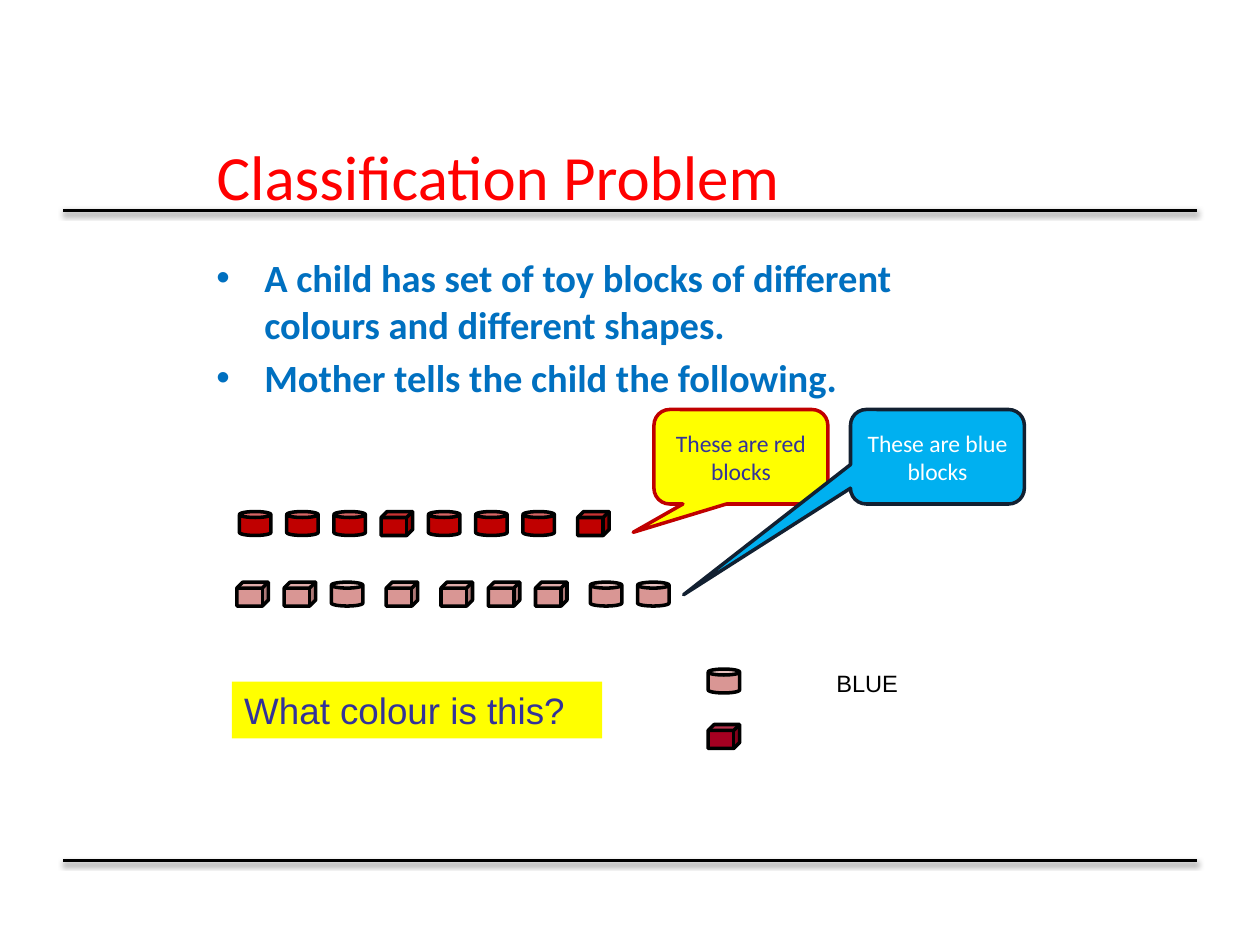
from dataclasses import dataclass

from lxml import etree
from pptx import Presentation
from pptx import util as u
from pptx.dml.color import RGBColor
from pptx.enum import shapes, text
from pptx.oxml import parse_xml
from pptx.oxml.ns import nsdecls, qn
from pptx.slide import Slide

CAN = shapes.MSO_SHAPE.CAN
CUBE = shapes.MSO_SHAPE.CUBE
BLOCK_KINDS = {"o": CAN, "#": CUBE}
RED, PINK = "C00000", "D99694"
YELLOW, INDIGO = "FFFF00", "333399"

RULE_SHADOW = f"""<a:effectLst {nsdecls('a')}>
  <a:outerShdw blurRad="40000" dist="20000" dir="5400000" rotWithShape="0">
    <a:srgbClr val="000000"><a:alpha val="38000"/></a:srgbClr>
  </a:outerShdw>
</a:effectLst>"""


def colour(value):
    return RGBColor.from_string(value)


@dataclass
class Painter:
    slide: Slide
    heading_font: str = "Calibri"
    label_font: str = "Arial"
    line_width: float = 2
    block_width: float = 0.25
    block_height: float = 0.19
    group_gap: float = 0.06

    def format_paragraph(self, paragraph, size, hex_colour, font, bold=False):
        for run in paragraph.runs:
            run.font.size = u.Pt(size)
            run.font.name = font
            run.font.bold = bold
            run.font.color.rgb = colour(hex_colour)

    def rule(self, top):
        connector = self.slide.shapes.add_connector(
            shapes.MSO_CONNECTOR.STRAIGHT,
            u.Inches(0.5), u.Inches(top), u.Inches(9.5), u.Inches(top))
        connector.line.color.rgb = colour("000000")
        connector.line.width = u.Pt(self.line_width)
        connector._element.spPr.append(parse_xml(RULE_SHADOW))

    def text_box(self, box, content, size, hex_colour, font, wrap=True):
        shape = self.slide.shapes.add_textbox(*map(u.Inches, box))
        frame = shape.text_frame
        frame.word_wrap = wrap
        frame.text = content
        for paragraph in frame.paragraphs:
            self.format_paragraph(paragraph, size, hex_colour, font)
        return frame

    def bullets(self, box, items, size, hex_colour):
        frame = self.text_box(box, "\n".join(items), size, hex_colour, self.heading_font)
        for index, paragraph in enumerate(frame.paragraphs):
            properties = paragraph._p.get_or_add_pPr()
            properties.set("marL", str(u.Inches(0.38)))
            properties.set("indent", str(u.Inches(-0.38)))
            font = etree.SubElement(properties, qn("a:buFont"))
            font.set("typeface", self.label_font)
            etree.SubElement(properties, qn("a:buChar")).set("char", "•")
            if index:
                paragraph.space_before = u.Pt(size * 0.2)
            self.format_paragraph(paragraph, size, hex_colour, self.heading_font, True)

    def shape(self, parent, kind, box, fill, outline=None):
        shape = parent.shapes.add_shape(kind, *map(u.Inches, box))
        shape.shadow.inherit = False
        shape.fill.solid()
        shape.fill.fore_color.rgb = colour(fill)
        if outline:
            shape.line.color.rgb = colour(outline)
            shape.line.width = u.Pt(self.line_width)
        else:
            shape.line.fill.background()
        return shape

    def block(self, parent, kind, left, top, fill):
        box = (left, top, self.block_width, self.block_height)
        self.shape(parent, kind, box, fill, "000000")

    def block_row(self, left, top, pattern, fill):
        group = self.slide.shapes.add_group_shape()
        for mark in pattern:
            if mark == " ":
                left += self.group_gap
            else:
                self.block(group, BLOCK_KINDS[mark], left, top, fill)
                left += self.block_width * 1.5

    def callout(self, left, content, fill, outline, text_colour, tip):
        shape = self.shape(self.slide, shapes.MSO_SHAPE.ROUNDED_RECTANGULAR_CALLOUT,
                           (left, 3.25, 1.38, 0.75), fill, outline)
        shape.adjustments[0], shape.adjustments[1] = tip
        frame = shape.text_frame
        frame.word_wrap = True
        frame.vertical_anchor = text.MSO_ANCHOR.MIDDLE
        frame.text = content
        paragraph = frame.paragraphs[0]
        paragraph.alignment = text.PP_ALIGN.CENTER
        self.format_paragraph(paragraph, 13.5, text_colour, self.heading_font)

    def question(self, box, content):
        shape = self.shape(self.slide, shapes.MSO_SHAPE.RECTANGLE, box, YELLOW)
        frame = shape.text_frame
        frame.word_wrap = True
        frame.vertical_anchor = text.MSO_ANCHOR.TOP
        frame.text = content
        paragraph = frame.paragraphs[0]
        paragraph.alignment = text.PP_ALIGN.LEFT
        self.format_paragraph(paragraph, 21, INDIGO, self.label_font)


def main():
    presentation = Presentation()
    presentation.slide_width = u.Inches(10)
    presentation.slide_height = u.Inches(7.5)
    slide = presentation.slides.add_slide(presentation.slide_layouts[6])
    painter = Painter(slide)

    for top in (1.67, 6.83):
        painter.rule(top)

    title = painter.text_box((1.62, 1.16, 6.12, 0.46), "Classification Problem",
                             36, "FF0000", painter.heading_font)
    title.vertical_anchor = text.MSO_ANCHOR.MIDDLE
    painter.bullets((1.62, 1.97, 6.44, 1.19), [
        "A child has set of toy blocks of different colours and different shapes.",
        "Mother tells the child the following.",
    ], 22, "0070C0")

    painter.block_row(1.9, 4.06, "ooo#ooo #", RED)
    painter.callout(5.19, "These are red blocks", YELLOW, RED, INDIGO, (-0.62, 0.8))
    painter.block_row(1.88, 4.62, "##o # ### oo", PINK)
    painter.callout(6.75, "These are blue blocks", "00B0F0", "122031", "FFFFFF",
                    (-1.46, 1.46))

    painter.question((1.84, 5.41, 2.94, 0.45), "What colour is this?")
    painter.block(slide, CUBE, 5.62, 5.75, "A50021")
    painter.block(slide, CAN, 5.62, 5.31, PINK)
    painter.text_box((6.54, 5.26, 0.7, 0.33), "BLUE", 13.5, "000000",
                     painter.label_font, wrap=False)

    presentation.save("out.pptx")


if __name__ == "__main__":
    main()
